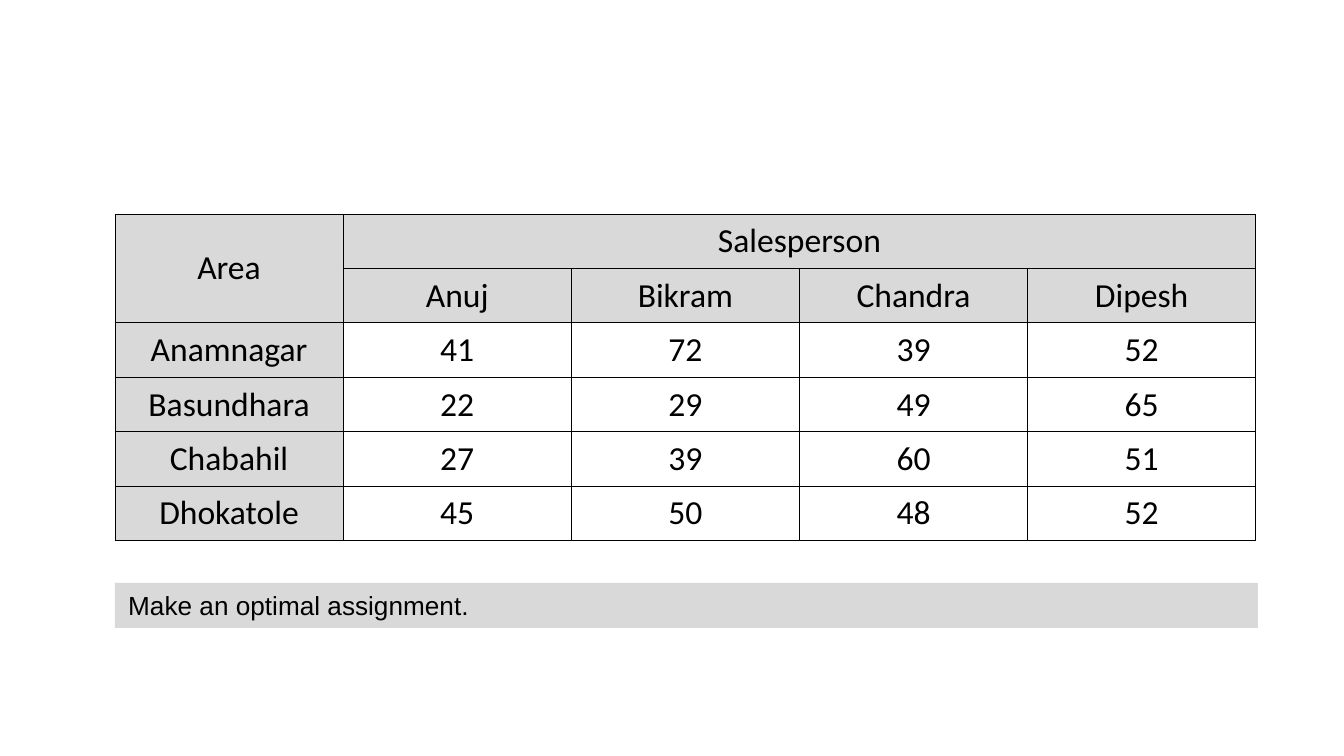
import dataclasses
import typing

import lxml.etree
import pptx
import pptx.dml.color
import pptx.enum.shapes
import pptx.enum.text
import pptx.oxml.ns
import pptx.util

SCALE = 914400 / 134.4  # EMU in one px
GREY = "D9D9D9"
BLACK = "000000"
ALIGN = pptx.enum.text.PP_ALIGN
MIDDLE = pptx.enum.text.MSO_ANCHOR.MIDDLE


@dataclasses.dataclass
class Box:
    left: int
    top: int
    width: int
    height: int

    def emu(self) -> tuple[int, ...]:
        return tuple(map(px, dataclasses.astuple(self)))


@dataclasses.dataclass
class Row:
    area: str
    costs: tuple[int, ...]


TABLE = Box(115, 214, 1141, 327)
TASK = Box(115, 583, 1143, 45)
NAMES = ("Anuj", "Bikram", "Chandra", "Dipesh")
ROWS = (
    Row("Anamnagar", (41, 72, 39, 52)),
    Row("Basundhara", (22, 29, 49, 65)),
    Row("Chabahil", (27, 39, 60, 51)),
    Row("Dhokatole", (45, 50, 48, 52)),
)


def px(size: float) -> int:
    return round(size * SCALE)


def color(code: str) -> pptx.dml.color.RGBColor:
    return pptx.dml.color.RGBColor.from_string(code)


def paint(fill: typing.Any, code: str) -> None:
    fill.solid()
    fill.fore_color.rgb = color(code)


def write(frame: typing.Any, text: str, *, font: str, size: int,
          align: typing.Any = ALIGN.LEFT, code: str = BLACK) -> None:
    frame.word_wrap = True
    para = frame.paragraphs[0]
    para.alignment = align
    run = para.add_run()
    run.text = text
    run.font.name = font
    run.font.size = pptx.util.Pt(size)
    run.font.color.rgb = color(code)


def edge(cell: typing.Any, width: float = 0.45) -> None:
    """Draw a thin black line on all four sides of a cell."""
    props = cell._tc.get_or_add_tcPr()
    qn = pptx.oxml.ns.qn
    for side in ("lnL", "lnR", "lnT", "lnB"):
        line = lxml.etree.SubElement(props, qn(f"a:{side}"),
                                     w=str(pptx.util.Pt(width)))
        fill = lxml.etree.SubElement(line, qn("a:solidFill"))
        lxml.etree.SubElement(fill, qn("a:srgbClr"), val=BLACK)


def add_grid(slide: typing.Any, box: Box) -> None:
    grid = [("Area", "Salesperson", "", "", ""), ("", *NAMES)]
    grid += [(row.area, *map(str, row.costs)) for row in ROWS]
    table = slide.shapes.add_table(len(grid), len(grid[0]), *box.emu()).table
    table.first_row = table.horz_banding = False
    for col in table.columns:
        col.width = px(box.width / len(grid[0]))
    for row in table.rows:
        row.height = px(box.height / len(grid))
    for r, line in enumerate(grid):
        for c, text in enumerate(line):
            cell = table.cell(r, c)
            cell.margin_top = cell.margin_bottom = 0
            cell.vertical_anchor = MIDDLE
            edge(cell)
            if r < 2 or c == 0:
                paint(cell.fill, GREY)
            else:
                cell.fill.background()
            if text:
                write(cell.text_frame, text, font="Calibri", size=18,
                      align=ALIGN.CENTER)
    table.cell(0, 0).merge(table.cell(1, 0))
    table.cell(0, 1).merge(table.cell(0, len(NAMES)))


def add_task(slide: typing.Any, box: Box, text: str) -> None:
    shape = slide.shapes.add_shape(
        pptx.enum.shapes.MSO_SHAPE.RECTANGLE, *box.emu())
    shape.shadow.inherit = False
    shape.line.fill.background()
    paint(shape.fill, GREY)
    frame = shape.text_frame
    frame.vertical_anchor = pptx.enum.text.MSO_ANCHOR.TOP
    frame.auto_size = pptx.enum.text.MSO_AUTO_SIZE.SHAPE_TO_FIT_TEXT
    write(frame, text, font="Arial", size=14)


def main() -> None:
    deck = pptx.Presentation()
    deck.slide_width, deck.slide_height = px(1344), px(756)
    slide = deck.slides.add_slide(deck.slide_layouts[6])
    add_grid(slide, TABLE)
    add_task(slide, TASK, "Make an optimal assignment.")
    deck.save("out.pptx")


if __name__ == "__main__":
    main()
